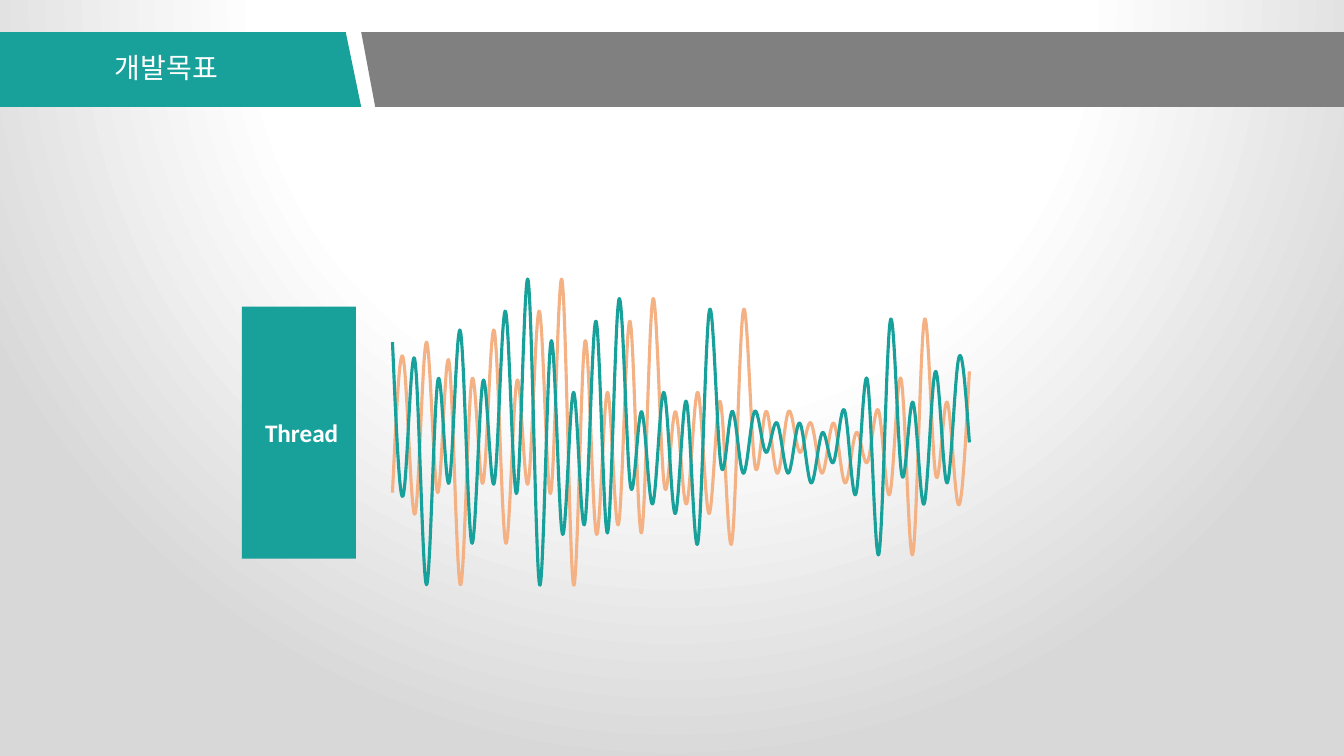
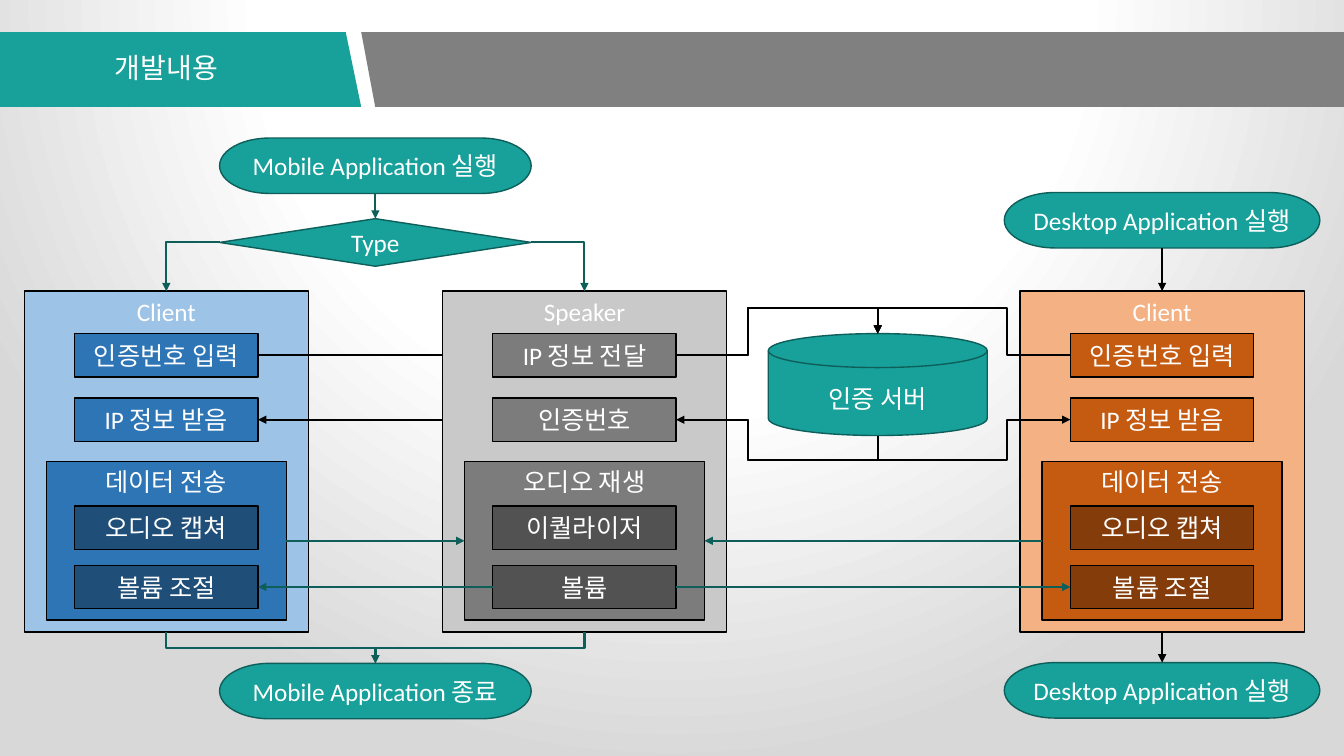
from lxml import etree
from pptx import Presentation
from pptx.chart.data import CategoryChartData
from pptx.dml.color import RGBColor
from pptx.enum.chart import XL_CHART_TYPE
from pptx.enum.shapes import MSO_CONNECTOR, MSO_SHAPE
from pptx.enum.text import MSO_ANCHOR, PP_ALIGN
from pptx.oxml.ns import qn
from pptx.util import Pt

# Shared look
TEAL, DARK_TEAL, GRAY = "18A09A", "0E5E5A", "808080"
BLACK, WHITE, PEACH = "000000", "FFFFFF", "F4B183"
LATIN, HANGUL = "Calibri", "Noto Sans CJK KR"
BAND_TOP, BAND_BOTTOM = 23, 76.3
TOP, LEFT, BOTTOM, RIGHT = range(4)

# Flowchart grid
COLUMN_TOP, COLUMN_WIDTH, COLUMN_HEIGHT = 208, 203, 243.5
LEFT_X, SPEAKER_X, RIGHT_X = 17.3, 316, 728.6
GROUP_TOP, GROUP_WIDTH, GROUP_HEIGHT = 329.8, 171.4, 113
STEP_TOPS = (238.3, 284.3, 361.5, 403.8)
STEP_WIDTH, STEP_HEIGHT = 131, 31
TERMINAL_HEIGHT = 39.6

WAVE = [62, -31, 50, -88, 38, -25, 69, -62, 38, -25, 81, -31, 100, -88, 62, -56, 31,
        -50, 75, -56, 88, -25, 19, -38, 31, -44, 25, -62, 81, -12, 19, -19, 19, -6,
        12, -19, 12, -25, 6, -12, 19, -31, 38, -69, 75, -19, 25, -38, 44, -25, 50, 0]
DELAYED_WAVE = [-31, 50, -44] + WAVE[:-3]


def color(hex_text):
    return RGBColor.from_string(hex_text)


def add_xml(parent, tag, **attributes):
    return etree.SubElement(parent, qn(tag), attributes)


def style_text(frame, text, size=18, latin=LATIN, bold=False):
    frame.text = text
    para = frame.paragraphs[0]
    para.alignment = PP_ALIGN.CENTER
    para.font.size = Pt(size)
    para.font.bold = bold
    para.font.color.rgb = color(WHITE)
    para.font.name = latin
    add_xml(para._p.pPr.find(qn("a:defRPr")), "a:ea", typeface=HANGUL)
    return para


# Background, bands and title
def paint_background(master):
    master.background.fill.gradient()
    gradient = master.element.find(".//" + qn("a:gradFill"))
    for child in list(gradient):
        gradient.remove(child)
    stops = add_xml(gradient, "a:gsLst")
    for position, shade in ((11, WHITE), (53, WHITE), (100, "D8D8D8")):
        stop = add_xml(stops, "a:gs", pos=str(position * 1000))
        add_xml(stop, "a:srgbClr", val=shade)
    circle = add_xml(gradient, "a:path", path="circle")
    add_xml(circle, "a:fillToRect", l="50000", t="-80000", r="50000", b="180000")


def add_bands_to_layout(page):
    """Draw the header bands and move them into the page's layout."""
    bands = ((TEAL, 0, 247, 258, 0), (GRAY, 258, 960, 960, 268))
    for fill, top_left, top_right, bottom_right, bottom_left in bands:
        builder = page.shapes.build_freeform(Pt(top_left), Pt(BAND_TOP))
        builder.add_line_segments([(Pt(top_right), Pt(BAND_TOP)),
                                   (Pt(bottom_right), Pt(BAND_BOTTOM)),
                                   (Pt(bottom_left), Pt(BAND_BOTTOM))])
        band = builder.convert_to_shape()
        band.fill.solid()
        band.fill.fore_color.rgb = color(fill)
        band.line.fill.background()
        band.shadow.inherit = False
        page.slide_layout.element.cSld.spTree.insert(2, band.element)


def place_title(layout):
    title = next(iter(layout.placeholders))
    title.left, title.top = Pt(0), Pt(BAND_TOP)
    title.width, title.height = Pt(237.6), Pt(BAND_BOTTOM - BAND_TOP)


def add_page(deck, layout, heading):
    page = deck.slides.add_slide(layout)
    frame = page.shapes.title.text_frame
    frame.vertical_anchor = MSO_ANCHOR.MIDDLE
    style_text(frame, heading, 20, HANGUL).line_spacing = 0.9
    return page


# Shapes and connectors
def add_box(page, text, left, top, width, height, fill, kind=MSO_SHAPE.RECTANGLE,
            line=BLACK, anchor=MSO_ANCHOR.MIDDLE, bold=False):
    box = page.shapes.add_shape(kind, Pt(left), Pt(top), Pt(width), Pt(height))
    box.shadow.inherit = False
    box.fill.solid()
    box.fill.fore_color.rgb = color(fill)
    if line:
        box.line.color.rgb = color(line)
        box.line.width = Pt(1)
    else:
        box.line.fill.background()
    frame = box.text_frame
    frame.word_wrap = True
    frame.vertical_anchor = anchor
    frame.margin_left = frame.margin_right = Pt(0)
    style_text(frame, text, bold=bold)
    return box


def add_teal(page, text, center, top, width, height, kind=MSO_SHAPE.FLOWCHART_TERMINATOR):
    return add_box(page, text, center - width / 2, top, width, height, TEAL, kind, DARK_TEAL)


def join(page, start, start_side, end, end_side, line, kind=MSO_CONNECTOR.STRAIGHT):
    connector = page.shapes.add_connector(kind, 0, 0, 0, 0)
    connector.begin_connect(start, start_side)
    connector.end_connect(end, end_side)
    # The disk has one extra connection site ahead of its four sides
    for shape, tag in ((start, "a:stCxn"), (end, "a:endCxn")):
        if shape.auto_shape_type == MSO_SHAPE.FLOWCHART_MAGNETIC_DISK:
            site = connector.element.find(".//" + qn(tag))
            site.set("idx", str(int(site.get("idx")) + 1))
    connector.line.color.rgb = color(line)
    connector.line.width = Pt(1.5)
    properties = connector.element.spPr
    add_xml(properties.find(qn("a:ln")), "a:tailEnd", type="triangle")
    add_xml(properties, "a:effectLst")
    return connector


def join_bent(page, start, start_side, end, end_side, line, bends, lane=None):
    """Join two shapes with an elbow; lane is the (x, y) of the middle segments."""
    connector = join(page, start, start_side, end, end_side, line, MSO_CONNECTOR.ELBOW)
    x, y = connector.begin_x, connector.begin_y
    dx, dy = connector.end_x - x, connector.end_y - y
    width, height = abs(dx), abs(dy)
    vertical = start_side in (TOP, BOTTOM)
    if vertical:
        width, height = height, width
        turn = 270 if dx > 0 and dy > 0 else 90
        flip_h, flip_v = dx > 0 or dy < 0, dx > 0 and dy < 0
    else:
        turn = 0 if dx > 0 else 180
        flip_h, flip_v = False, (dx < 0) != (dy < 0)
    connector.left, connector.top = int(x + (dx - width) / 2), int(y + (dy - height) / 2)
    connector.width, connector.height = width, height
    frame = connector.element.spPr.find(qn("a:xfrm"))
    frame.set("rot", str(turn * 60000))
    frame.set("flipH", str(int(flip_h)))
    frame.set("flipV", str(int(flip_v)))

    geometry = connector.element.spPr.find(qn("a:prstGeom"))
    geometry.set("prst", f"bentConnector{bends + 1}")
    if lane:
        ratios = [(Pt(lane[0]) - x) / dx, (Pt(lane[1]) - y) / dy]
        if vertical:
            ratios.reverse()
        guides = geometry.find(qn("a:avLst"))
        for number, ratio in enumerate(ratios, 1):
            add_xml(guides, "a:gd", name=f"adj{number}", fmla=f"val {round(ratio * 100000)}")


# Sound wave charts
def add_wave(page, values, line):
    data = CategoryChartData()
    data.categories = [str(number) for number in range(1, len(values) + 1)]
    data.add_series("Series 1", values)
    chart = page.shapes.add_chart(XL_CHART_TYPE.LINE, Pt(262), Pt(156.2),
                                  Pt(435), Pt(304.6), data).chart
    chart.has_legend = chart.has_title = False
    chart.font.size = Pt(10)
    chart.font.name = LATIN
    chart.font.color.rgb = color(BLACK)
    chart.value_axis.minimum_scale, chart.value_axis.maximum_scale = -125, 125
    chart.value_axis.has_major_gridlines = False
    chart.value_axis.visible = chart.category_axis.visible = False
    plot = chart.plots[0]
    plot.vary_by_categories = False
    series = plot.series[0]
    series.smooth = True
    series.format.line.color.rgb = color(line)
    series.format.line.width = Pt(2.25)

    # Transparent background and fixed plot area
    space = chart.element
    area = space.find(".//" + qn("c:plotArea"))
    for old in area.findall(qn("c:layout")):
        area.remove(old)
    layout = etree.Element(qn("c:layout"))
    area.insert(0, layout)
    manual = add_xml(layout, "c:manualLayout")
    for name, value in (("layoutTarget", "inner"), ("xMode", "edge"), ("yMode", "edge"),
                        ("x", "0.033"), ("y", "0.051"), ("w", "0.966"), ("h", "0.948")):
        add_xml(manual, "c:" + name, val=value)
    add_xml(add_xml(area, "c:spPr"), "a:noFill")
    backdrop = etree.Element(qn("c:spPr"))
    add_xml(backdrop, "a:noFill")
    add_xml(add_xml(backdrop, "a:ln"), "a:noFill")
    space.find(qn("c:txPr")).addprevious(backdrop)


def draw_goal(page):
    add_wave(page, DELAYED_WAVE, PEACH)
    add_wave(page, WAVE, TEAL)
    thread = add_box(page, "Thread", 172.8, 219, 81.4, 180, TEAL, line=None, bold=True)
    thread.text_frame.margin_left = Pt(4)


# Flowchart
def add_column(page, left, heading, steps, group_heading, fills):
    """Return the column, its inner group and its four steps."""
    pale, middle, dark = fills
    center = left + COLUMN_WIDTH / 2
    column = add_box(page, heading, left, COLUMN_TOP, COLUMN_WIDTH, COLUMN_HEIGHT, pale,
                     MSO_SHAPE.FLOWCHART_PROCESS, anchor=MSO_ANCHOR.TOP)
    group = add_box(page, group_heading, center - GROUP_WIDTH / 2, GROUP_TOP, GROUP_WIDTH,
                    GROUP_HEIGHT, middle, anchor=MSO_ANCHOR.TOP)
    boxes = [add_box(page, text, center - STEP_WIDTH / 2, top, STEP_WIDTH, STEP_HEIGHT, fill)
             for text, top, fill in zip(steps, STEP_TOPS, (middle, middle, dark, dark))]
    return column, group, boxes


def join_server(page, server, steps, side, lane_x):
    """Send the first step to the server, and its answer to the second step."""
    join_bent(page, steps[0], side, server, TOP, BLACK, 3, (lane_x, 220.1))
    join_bent(page, server, BOTTOM, steps[1], side, BLACK, 3, (lane_x, 328.7))


def draw_content(page):
    client_steps = ("인증번호 입력", "IP 정보 받음", "오디오 캡쳐", "볼륨 조절")
    speaker_steps = ("IP 정보 전달", "인증번호", "이퀄라이저", "볼륨")
    left_lane, right_lane = 534.2, 719.3
    mobile_center = (LEFT_X + SPEAKER_X + COLUMN_WIDTH) / 2
    desktop_center = RIGHT_X + COLUMN_WIDTH / 2

    # Links to the left client run behind the speaker column
    server = add_teal(page, "인증 서버", 627, 238.3, 156.4, 72.8,
                      MSO_SHAPE.FLOWCHART_MAGNETIC_DISK)
    server.text_frame.margin_top = Pt(11.5)
    mobile, mobile_group, mobile_boxes = add_column(
        page, LEFT_X, "Client", client_steps, "데이터 전송", ("9DC3E6", "2E75B6", "1F4E79"))
    join_server(page, server, mobile_boxes, RIGHT, left_lane)
    speaker, speaker_group, speaker_boxes = add_column(
        page, SPEAKER_X, "Speaker", speaker_steps, "오디오 재생", ("C9C9C9", "7C7C7C", "525252"))
    join_server(page, server, speaker_boxes, RIGHT, left_lane)
    desktop, desktop_group, desktop_boxes = add_column(
        page, RIGHT_X, "Client", client_steps, "데이터 전송", (PEACH, "C55A11", "843C0B"))
    join_server(page, server, desktop_boxes, LEFT, right_lane)

    # Start and end of each application
    mobile_start, mobile_end = [
        add_teal(page, text, mobile_center, top, 222.6, TERMINAL_HEIGHT)
        for text, top in (("Mobile Application 실행", 98.6), ("Mobile Application 종료", 473.8))]
    choice = add_teal(page, "Type", mobile_center, 156.2, 222.6, 34,
                      MSO_SHAPE.FLOWCHART_DECISION)
    desktop_start, desktop_end = [
        add_teal(page, "Desktop Application 실행", desktop_center, top, 225.4, TERMINAL_HEIGHT)
        for top in (137.5, 473.3)]
    join(page, mobile_start, BOTTOM, choice, TOP, DARK_TEAL)
    for column, side in ((mobile, LEFT), (speaker, RIGHT)):
        join_bent(page, choice, side, column, TOP, DARK_TEAL, 1)
        join_bent(page, column, BOTTOM, mobile_end, TOP, DARK_TEAL, 2)
    join(page, desktop_start, BOTTOM, desktop, TOP, BLACK)
    join(page, desktop, BOTTOM, desktop_end, TOP, BLACK)

    # Audio goes to the speaker, volume comes back
    for group, boxes, side, speaker_side in ((mobile_group, mobile_boxes, RIGHT, LEFT),
                                             (desktop_group, desktop_boxes, LEFT, RIGHT)):
        join(page, group, side, speaker_group, speaker_side, DARK_TEAL)
        join(page, speaker_boxes[3], speaker_side, boxes[3], side, DARK_TEAL)


def main():
    deck = Presentation()
    deck.slide_width, deck.slide_height = Pt(960), Pt(540)
    layout = deck.slide_layouts.get_by_name("Title Only")
    paint_background(deck.slide_master)
    place_title(layout)
    goal = add_page(deck, layout, "개발목표")
    add_bands_to_layout(goal)
    draw_goal(goal)
    draw_content(add_page(deck, layout, "개발내용"))
    deck.save("out.pptx")


if __name__ == "__main__":
    main()
